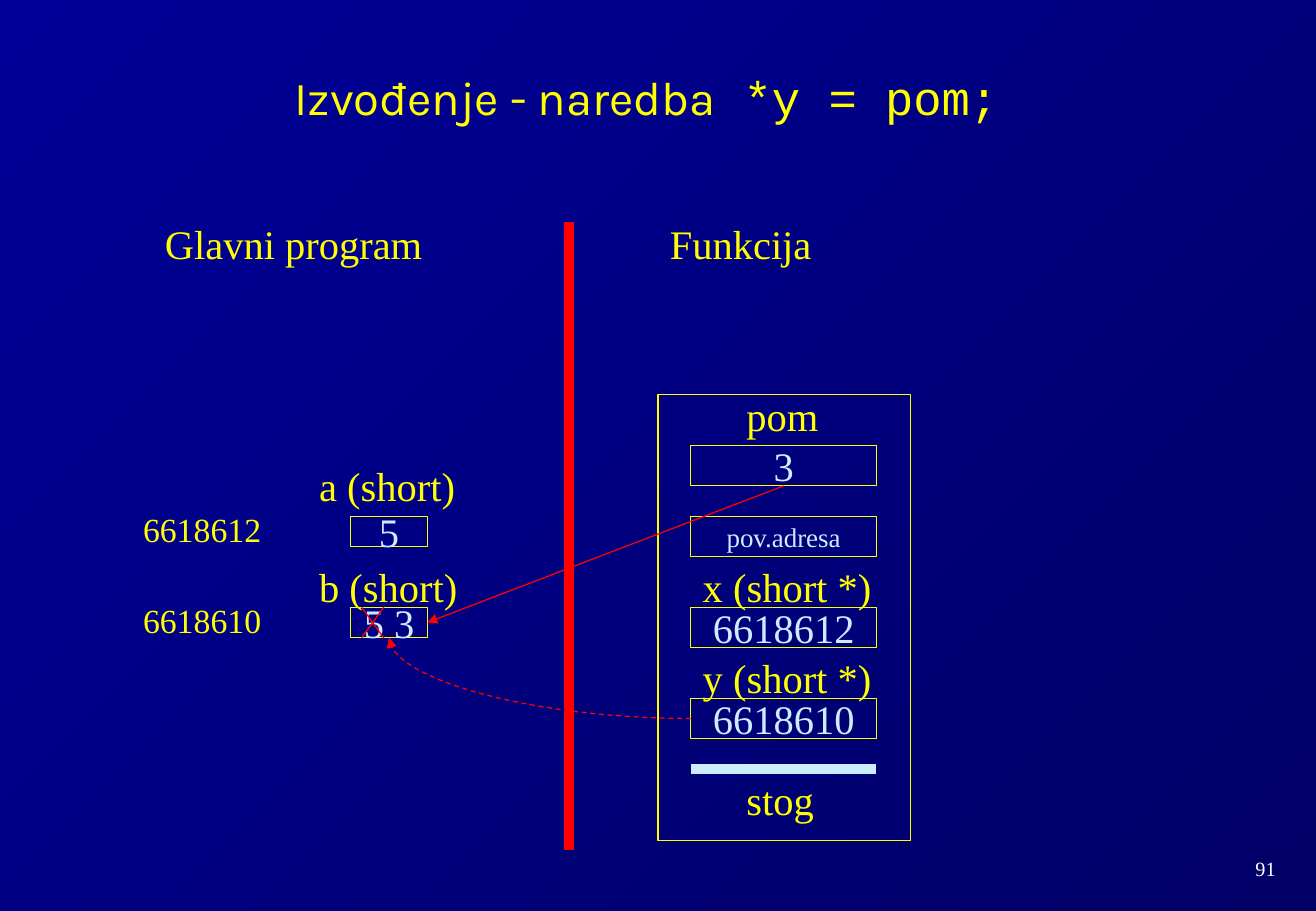
from lxml import etree
from pptx import Presentation
from pptx.dml.color import RGBColor
from pptx.enum.dml import MSO_LINE
from pptx.enum.shapes import MSO_CONNECTOR, MSO_SHAPE
from pptx.enum.text import MSO_ANCHOR, MSO_AUTO_SIZE, PP_ALIGN
from pptx.oxml.ns import qn
from pptx.util import Inches, Pt

STRAIGHT, CURVE = MSO_CONNECTOR.STRAIGHT, MSO_CONNECTOR.CURVE
RECT, DASH = MSO_SHAPE.RECTANGLE, MSO_LINE.DASH
TOP, MIDDLE, BOTTOM = MSO_ANCHOR.TOP, MSO_ANCHOR.MIDDLE, MSO_ANCHOR.BOTTOM
LEFT, CENTER = PP_ALIGN.LEFT, PP_ALIGN.CENTER
NO_FIT = MSO_AUTO_SIZE.NONE

COLORS = {
    "yellow": "FFFF00",
    "pale": "CCECFF",
    "red": "FF0000",
    "white": "FFFFFF",
    "dark": "000066",
    "blue": "000099",
}
SERIF, SANS, MONO = "Times New Roman", "Karla", "Courier New"


def rgb(name):
    return RGBColor.from_string(COLORS[name])


class Deck:
    """Holds the slide style and draws elements on the current slide."""

    def __init__(self, width, height):
        self.prs = Presentation()
        self.prs.slide_width, self.prs.slide_height = Inches(width), Inches(height)
        self.slide = self.prs.slides.add_slide(self.prs.slide_layouts[5])
        self.shapes = self.slide.shapes

    def background(self, start, end, angle):
        fill = self.slide.background.fill
        fill.gradient()
        fill.gradient_angle = angle
        for stop, color in zip(fill.gradient_stops, (start, end)):
            stop.color.rgb = rgb(color)

    def add_text(self, sp, runs, size, color, align, anchor, wrap=False):
        tf = sp.text_frame
        tf.auto_size = NO_FIT
        tf.word_wrap = wrap
        tf.vertical_anchor = anchor
        p = tf.paragraphs[0]
        p.alignment = align
        for text, font in runs:
            r = p.add_run()
            r.text = text
            r.font.name, r.font.size = font, Pt(size)
            r.font.color.rgb = rgb(color)

    def title(self, x, y, w, h, runs):
        sp = self.shapes.title
        sp.left, sp.top, sp.width, sp.height = map(Inches, (x, y, w, h))
        self.add_text(sp, runs, 28, "yellow", CENTER, BOTTOM, True)

    def label(self, x, y, w, h, text, size=24, color="yellow", align=LEFT, anchor=TOP):
        sp = self.shapes.add_textbox(*map(Inches, (x, y, w, h)))
        self.add_text(sp, [(text, SERIF)], size, color, align, anchor)

    def box(self, x, y, w, h, text="", size=24):
        sp = self.shapes.add_shape(RECT, *map(Inches, (x, y, w, h)))
        sp.shadow.inherit = False
        sp.fill.background()
        sp.line.color.rgb = rgb("yellow")
        sp.line.width = Pt(0.75)
        if text:
            self.add_text(sp, [(text, SERIF)], size, "pale", CENTER, MIDDLE)
        return sp

    def line(self, x1, y1, x2, y2, color="red", width=0.75, kind=STRAIGHT):
        cn = self.shapes.add_connector(kind, *map(Inches, (x1, y1, x2, y2)))
        cn.line.color.rgb = rgb(color)
        cn.line.width = Pt(width)
        etree.SubElement(cn._element.spPr, qn("a:effectLst"))
        return cn

    def arrow(self, source, source_site, target, target_site, kind=STRAIGHT, dash=None):
        cn = self.line(0, 0, 1, 1, kind=kind)
        cn.begin_connect(source, source_site)
        cn.end_connect(target, target_site)
        if dash:
            cn.line.dash_style = dash
        ln = cn._element.spPr.find(qn("a:ln"))
        etree.SubElement(ln, qn("a:tailEnd"), type="triangle")
        return cn


def main():
    deck = Deck(10.84, 7.5)
    deck.background("dark", "blue", 135)
    deck.title(0.54, 0.25, 9.57, 0.83,
               [("Izvođenje - naredba", SANS), (" *y = pom;", MONO)])
    deck.label(10.02, 7, 0.81, 0.3, "91", 12, "white", CENTER, MIDDLE)

    deck.box(5.42, 3.25, 2.08, 3.67)
    variables = {}
    for name, address, y, value in (("a", "6618612", 4.25, "5"),
                                    ("b", "6618610", 5, "5 3")):
        variables[name] = deck.box(2.89, y, 0.63, 0.25, value)
        deck.label(1.08, y - 0.11, 1.17, 0.44, address, 20)

    stack = {}
    for name, y, value, size in (("pom", 3.67, "3", 24),
                                 ("return", 4.25, "pov.adresa", 16),
                                 ("x", 5, "6618612", 24),
                                 ("y", 5.75, "6618610", 24)):
        stack[name] = deck.box(5.69, y, 1.53, 0.33, value, size)
    deck.line(5.69, 6.33, 7.22, 6.33, "pale", 6)

    for x, y, w, text in ((1.26, 1.75, 2.32, "Glavni program"),
                          (5.42, 1.75, 1.36, "Funkcija"),
                          (2.53, 3.75, 1.32, "a (short)"),
                          (2.53, 4.58, 1.34, "b (short)"),
                          (6.05, 3.17, 0.79, "pom"),
                          (5.69, 4.58, 1.59, "x (short *)"),
                          (5.69, 5.33, 1.59, "y (short *)"),
                          (6.05, 6.33, 0.75, "stog")):
        deck.label(x, y, w, 0.5, text)

    deck.line(4.69, 1.83, 4.69, 7, width=6)
    pointer = deck.arrow(stack["y"], 1, variables["b"], 2, CURVE, DASH)
    pointer._element.spPr.find(qn("a:prstGeom")).set("prst", "curvedConnector2")
    deck.arrow(stack["pom"], 2, variables["b"], 3)
    for start, end in ((5, 5.25), (5.25, 5)):
        deck.line(2.98, start, 3.16, end)

    deck.prs.save("out.pptx")


if __name__ == "__main__":
    main()
